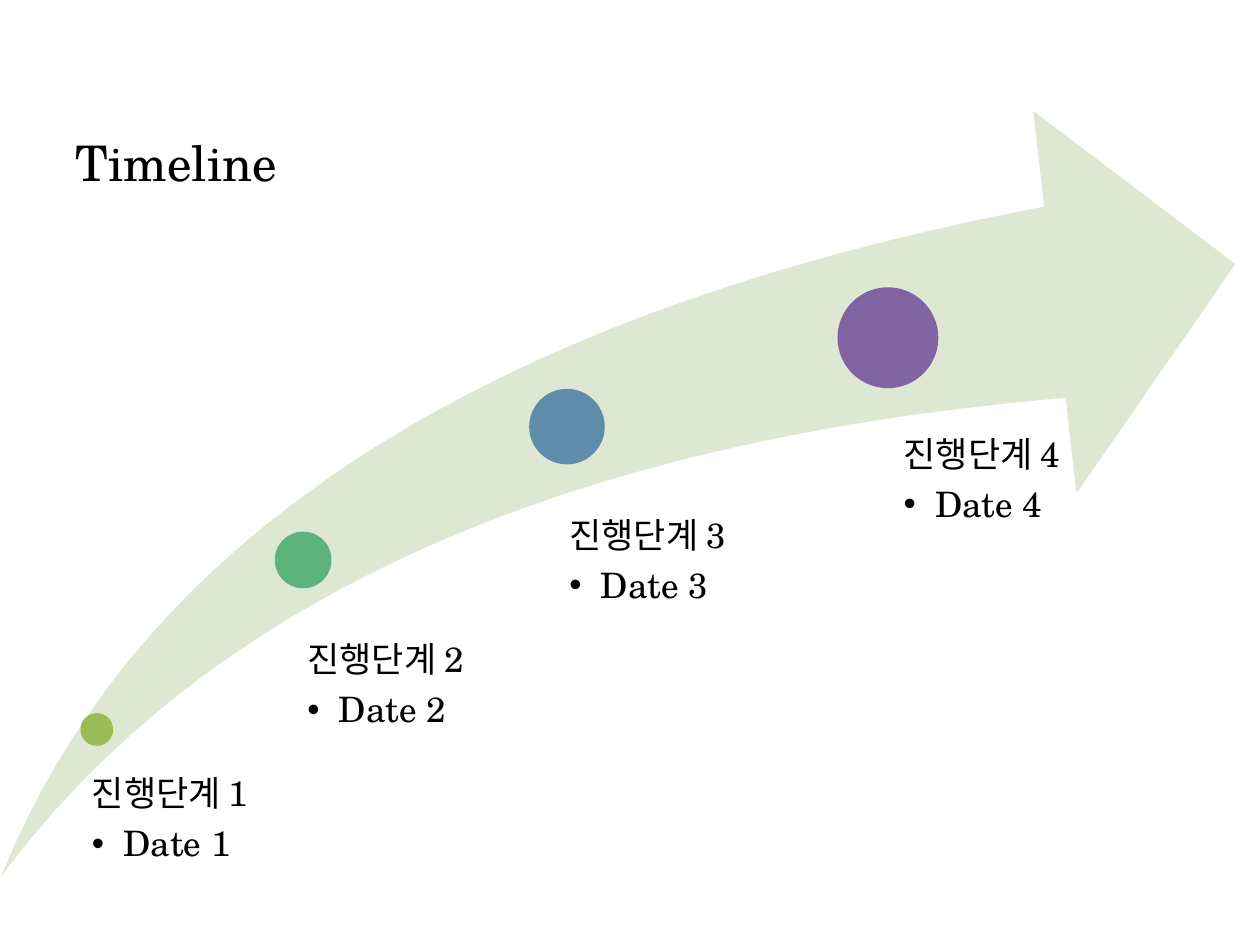
from lxml.etree import SubElement
from pptx import Presentation
from pptx.dml.color import RGBColor
from pptx.enum.shapes import MSO_SHAPE
from pptx.enum.text import MSO_ANCHOR, PP_ALIGN
from pptx.oxml.ns import qn
from pptx.util import Pt

FONT = "TeX Gyre Schola"
STAGES = [
    ("1", "9BBB59", (46, 407.5, 18.7), (42.5, 443.5, 168, 121), 10),
    ("2", "5CB37C", (157, 303.8, 32.4), (158.4, 367.2, 170.6, 189.4), 17.3),
    ("3", "608CAB", (302.4, 222.2, 43.2), (302.4, 296, 170.6, 190.8), 23),
    ("4", "8064A2", (478.6, 164.2, 57.6), (486, 249.8, 170.6, 234.7), 30.4),
]


def color(value):
    return RGBColor.from_string(value)


def add_shape(s, kind, box, fill):
    sp = s.shapes.add_shape(kind, *map(Pt, box))
    sp.shadow.inherit = False
    sp.fill.solid()
    sp.fill.fore_color.rgb = color(fill)
    sp.line.fill.background()
    return sp


def add_run(p, text, size):
    r = p.add_run()
    r.text = text
    r.font.name = FONT
    r.font.size = Pt(size)
    r.font.color.rgb = color("000000")


def add_bullet(p):
    pPr = p._p.get_or_add_pPr()
    pPr.set("marL", str(Pt(18)))
    pPr.set("indent", str(-Pt(18)))
    SubElement(pPr, qn("a:buFont"), typeface="Arial")
    SubElement(pPr, qn("a:buChar"), char="•")


def add_label(s, box, inset, number):
    tf = s.shapes.add_textbox(*map(Pt, box)).text_frame
    tf.word_wrap = True
    tf.margin_left = Pt(inset)
    tf.margin_top = tf.margin_right = tf.margin_bottom = 0
    p = tf.paragraphs[0]
    p.line_spacing = 0.9
    p.space_after = Pt(7)
    add_run(p, f"진행단계 {number}", 20)
    p = tf.add_paragraph()
    p.level = 1
    p.line_spacing = 0.9
    p.space_after = Pt(3)
    add_bullet(p)
    add_run(p, f"Date {number}", 20)


def set_title(s, text):
    sp = s.shapes.title
    sp.left, sp.top, sp.width, sp.height = map(Pt, (36, 72, 648, 72))
    tf = sp.text_frame
    tf.vertical_anchor = MSO_ANCHOR.TOP
    p = tf.paragraphs[0]
    p.alignment = PP_ALIGN.LEFT
    add_run(p, text, 28)


def main():
    prs = Presentation()
    prs.slide_width, prs.slide_height = Pt(720), Pt(540)
    s = prs.slides.add_slide(prs.slide_layouts[5])
    set_title(s, "Timeline")
    arrow = add_shape(s, MSO_SHAPE.SWOOSH_ARROW, (0.9, 63.5, 705, 437), "DEE7D1")
    arrow.adjustments[0] = arrow.adjustments[1] = 0.25
    for number, fill, (left, top, size), box, inset in STAGES:
        add_shape(s, MSO_SHAPE.OVAL, (left, top, size, size), fill)
        add_label(s, box, inset, number)
    prs.save("out.pptx")


if __name__ == "__main__":
    main()
